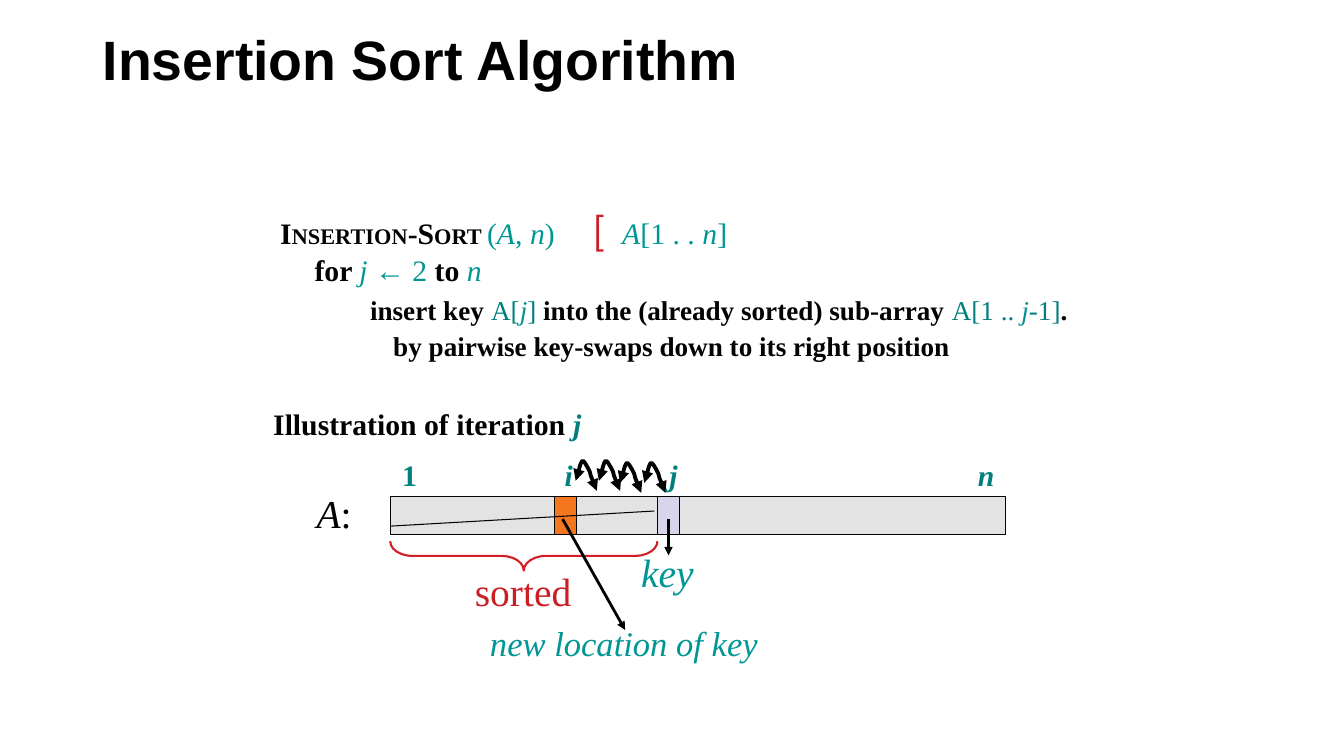
from pptx import Presentation
from pptx.util import Inches, Pt
from pptx.dml.color import RGBColor
from pptx.enum.shapes import MSO_SHAPE, MSO_CONNECTOR
from pptx.oxml.ns import qn
from lxml.etree import SubElement

HUE = {
    "ink": "010202", "black": "000000", "teal": "009696", "deep": "007F7C",
    "mid": "00908E", "red": "C91F25", "brace": "D41E25",
    "bar": "E3E3E3", "key": "D6D5EB", "slot": "F47720",
}
ARC = [(3, 20), (4, 17), (5, 13), (6, 10), (7, 6), (8, 3), (9, 1), (10, 0),
       (12, 2), (15, 7), (17, 11), (18, 15), (20, 20), (24, 30)]
SERIF = "Times New Roman"


def color(name):
    return RGBColor.from_string(HUE[name])


def frame(slide, x, y, w, h):
    box = slide.shapes.add_textbox(Inches(x), Inches(y), Inches(w), Inches(h))
    text = box.text_frame
    text.word_wrap = True
    text.margin_left = text.margin_right = text.margin_bottom = 0
    text.margin_top = Inches(0.01)
    return text


def fill(para, runs, left=0.01, first=0):
    props = para._p.get_or_add_pPr()
    props.set("marL", str(Inches(left)))
    props.set("indent", str(Inches(first)))
    for words, size, hue, style in runs:
        run = para.add_run()
        run.text = words
        font = run.font
        font.name, font.size = SERIF, Pt(size)
        font.bold, font.italic = "b" in style, "i" in style
        font.color.rgb = color(hue)


def label(slide, x, y, w, h, *runs):
    para = frame(slide, x, y, w, h).paragraphs[0]
    fill(para, runs)
    return para


def outline(shape, hue, width):
    shape.line.color.rgb = color(hue)
    shape.line.width = Pt(width)
    shape.shadow.inherit = False


def tip(shape, *ends):
    line = shape.line._get_or_add_ln()
    for end in ends:
        SubElement(line, qn("a:" + end), type="triangle", w="med", len="med")


def cell(slide, x, y, w, h, hue):
    rect = slide.shapes.add_shape(
        MSO_SHAPE.RECTANGLE, Inches(x), Inches(y), Inches(w), Inches(h))
    rect.fill.solid()
    rect.fill.fore_color.rgb = color(hue)
    outline(rect, "ink", 0.75)


def link(slide, x, y, dx, dy, width, arrow=True):
    line = slide.shapes.add_connector(
        MSO_CONNECTOR.STRAIGHT, Inches(x), Inches(y),
        Inches(x + dx), Inches(y + dy))
    line.line.color.rgb = color("ink")
    line.line.width = Pt(width)
    if arrow:
        tip(line, "tailEnd")
    SubElement(line._element.spPr, qn("a:effectLst"))


def title(slide, x, y, w, h):
    text = frame(slide, x, y, w, h)
    text.margin_left, text.margin_top = Inches(0.1), 0
    text.text = "Insertion Sort Algorithm"
    para = text.paragraphs[0]
    para.line_spacing = 0.9
    font = para.runs[0].font
    font.name, font.size, font.bold = "Arial", Pt(39.6), True
    font.color.rgb = color("black")


def code(slide, x, y, w):
    size = 21.2
    text = frame(slide, x + 0.07, y, 2.8, 0.74)
    fill(text.paragraphs[0], [
        ("I", size, "ink", "b"), ("NSERTION", 15.9, "ink", "b"),
        ("-S", size, "ink", "b"), ("ORT ", 15.9, "ink", "b"),
        ("(", size, "teal", ""), ("A", size, "teal", "i"),
        (", ", size, "teal", ""), ("n", size, "teal", "i"),
        (")", size, "teal", "")])
    loop = text.add_paragraph()
    loop.space_before = Pt(1.1)
    fill(loop, [
        ("for ", size, "ink", "b"), ("j ", size, "teal", "i"),
        ("← 2 ", size, "teal", ""), ("to ", size, "ink", "b"),
        ("n", size, "teal", "i")], 0.35)

    span = label(slide, x + 3.16, y - 0.1, 1.8, 0.49,
                 ("[ ", 28.2, "red", ""), ("A", size, "teal", "i"),
                 ("[1 . . ", size, "teal", ""), ("n", size, "teal", "i"),
                 ("]", size, "teal", ""))
    mark = span.runs[0]
    mark.font.name = "Montserrat"
    mark._r.get_or_add_rPr().set("spc", "270")

    text = frame(slide, x, y + 0.74, w, 1.54)
    step = text.paragraphs[0]
    step.line_spacing = 1.12
    fill(step, [
        ("insert key ", 19.4, "ink", "b"), ("A[", 19.4, "deep", ""),
        ("j", 19.4, "mid", "i"), ("] ", 19.4, "deep", ""),
        ("into the (already sorted) sub-array ", 19.4, "ink", "b"),
        ("A[1 .. ", 19.4, "deep", ""), ("j", 19.4, "mid", "i"),
        ("-1]", 19.4, "deep", ""),
        (". by pairwise key-swaps down to its right position",
         19.4, "ink", "b")], 1.2, -0.23)
    head = text.add_paragraph()
    head.space_before = Pt(31)
    fill(head, [("Illustration of iteration ", size, "ink", "b"),
                ("j", size, "deep", "bi")])


def swaps(slide, x, y):
    for dx, dy in [(0, 0), (23, 0), (44, 2), (68, 2)]:
        spots = [(round(x * 100) + dx + a, round(y * 100) + dy + b)
                 for a, b in ARC]
        build = slide.shapes.build_freeform(*spots[0], scale=Inches(1) / 100)
        build.add_line_segments(spots[1:], close=False)
        arc = build.convert_to_shape()
        arc.fill.background()
        outline(arc, "ink", 2.75)
        tip(arc, "headEnd", "tailEnd")


def array(slide, x, y, w, h):
    slot, key, side = x + 1.63, x + 2.65, 0.22
    for dx, wide, name, style in [
            (0.11, 0.2, "1", "b"), (1.72, 0.15, "i", "bi"),
            (2.76, 0.15, "j", "bi"), (5.82, 0.2, "n", "bi")]:
        label(slide, x + dx, y - 0.41, wide, 0.37,
              (name, 21.2, "deep", style))
    swaps(slide, slot + 0.18, y - 0.36)
    label(slide, x - 0.74, y - 0.09, 0.4, 0.49,
          ("A", 28.2, "ink", "i"), (":", 28.2, "ink", ""))
    label(slide, x + 2.48, y + 0.5, 0.57, 0.49, ("key", 28.2, "teal", "i"))
    label(slide, x + 0.83, y + 0.69, 1, 0.49, ("sorted", 28.2, "red", ""))
    label(slide, x + 0.98, y + 1.23, 2.72, 0.43,
          ("new location of key", 24.7, "teal", "i"))

    cell(slide, x, y, w, h, "bar")
    cell(slide, key, y, side, h, "key")
    link(slide, key + 0.11, y + 0.22, 0, 0.36, 2)

    span, deep = key - x, 0.29
    brace = slide.shapes.add_shape(
        MSO_SHAPE.LEFT_BRACE, Inches(x + (span - deep) / 2),
        Inches(y + 0.44 + (deep - span) / 2), Inches(deep), Inches(span))
    brace.rotation = 270
    brace.adjustments[0] = 0.76
    brace.fill.background()
    outline(brace, "brace", 1.5)

    cell(slide, slot, y, side, h, "slot")
    link(slide, slot + 0.08, y + 0.22, 0.62, 1.1, 2)
    link(slide, x, y + 0.29, 2.62, -0.15, 0.75, False)


def main():
    deck = Presentation()
    deck.slide_width, deck.slide_height = Inches(13.33), Inches(7.5)
    slide = deck.slides.add_slide(deck.slide_layouts[6])
    code(slide, 2.7, 2.12, 7.89)
    array(slide, 3.87, 4.93, 6.1, 0.37)
    title(slide, 0.92, 0.32, 11.5, 1.09)
    deck.save("out.pptx")


if __name__ == "__main__":
    main()
